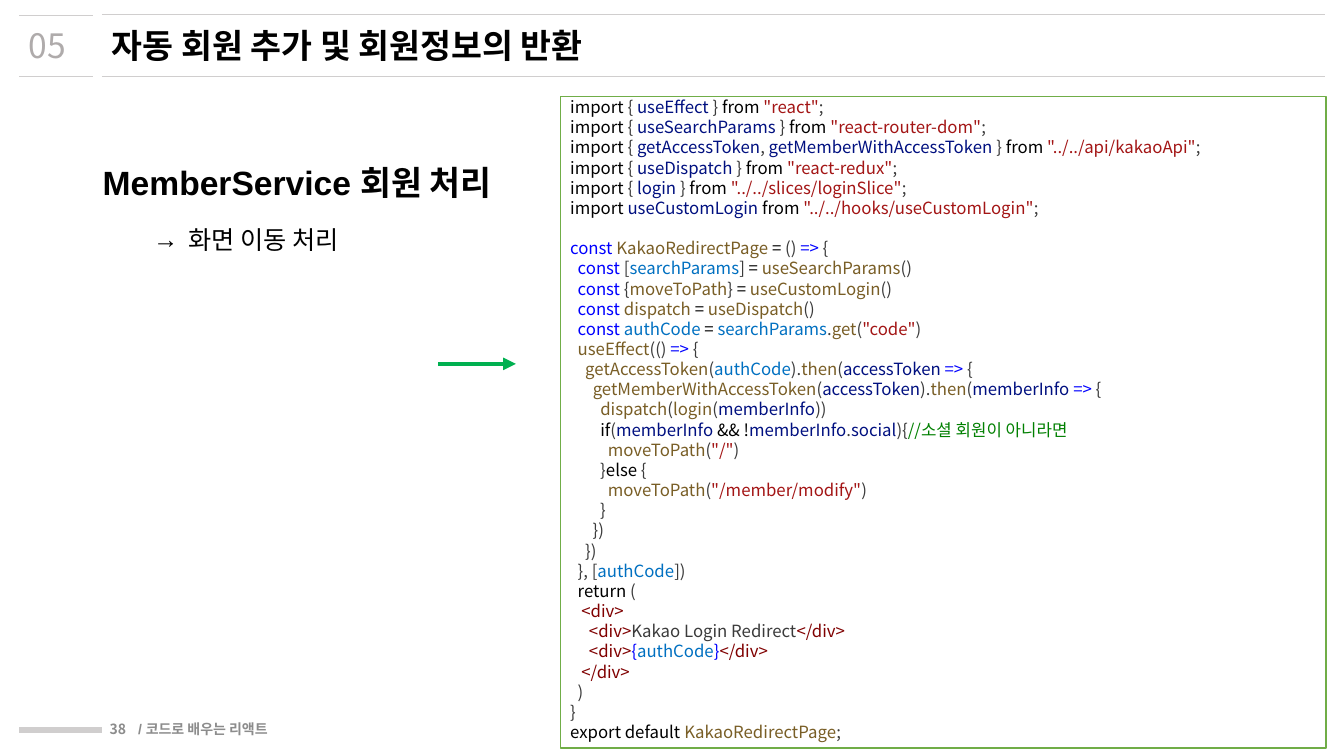
from dataclasses import dataclass

from lxml.etree import SubElement
from pptx import Presentation
from pptx.dml.color import RGBColor as Rgb
from pptx.enum.shapes import MSO_CONNECTOR as Connector, MSO_SHAPE as Shape
from pptx.enum.text import MSO_ANCHOR as Anchor, PP_ALIGN as Align
from pptx.oxml.ns import qn
from pptx.util import Cm, Pt


@dataclass(frozen=True)
class Theme:
    sans: str = "Noto Sans CJK KR"
    latin: str = "Arial"
    title_size: float = 24
    body_size: float = 18
    code_size: float = 12
    code_pitch: float = 14.4
    footer_size: float = 10
    black: str = "000000"
    white: str = "FFFFFF"
    rule: str = "D0CECE"
    number: str = "AFABAB"
    footer: str = "8C8C8C"
    frame: str = "70AD47"
    arrow: str = "00B050"
    plain: str = "3B3B3B"
    variable: str = "001080"
    constant: str = "0070C1"
    function: str = "795E26"
    keyword: str = "0000FF"
    string: str = "A31515"
    tag: str = "800000"
    comment: str = "008000"


theme = Theme()


def write(para, text, font=theme.sans, size=theme.title_size, color=theme.black, bold=False):
    span = para.add_run()
    span.text = text
    span.font.name = font
    span.font.size = Pt(size)
    span.font.bold = bold
    span.font.color.rgb = Rgb.from_string(color)
    SubElement(span.font._element, qn("a:ea"), typeface=theme.sans)


def add_box(left, top, width, height, anchor=Anchor.MIDDLE):
    frame = page.shapes.add_textbox(Cm(left), Cm(top), Cm(width), Cm(height)).text_frame
    frame.word_wrap = True
    frame.vertical_anchor = anchor
    return frame


deck = Presentation()
deck.slide_width, deck.slide_height = Cm(33.87), Cm(19.05)
page = deck.slides.add_slide(deck.slide_layouts[6])

# Header rules, footer bar and arrow
for left, right, y, color, weight in [
    (2.57, 33.38, 0.36, theme.rule, 0.25),
    (2.57, 33.38, 1.93, theme.rule, 0.25),
    (0.48, 2.34, 0.38, theme.rule, 0.25),
    (0.48, 2.34, 1.93, theme.rule, 0.25),
    (0.48, 2.57, 18.39, theme.rule, 4.25),
    (11.05, 13, 9.17, theme.arrow, 3),
]:
    line = page.shapes.add_connector(Connector.STRAIGHT, Cm(left), Cm(y), Cm(right), Cm(y))
    line.line.color.rgb = Rgb.from_string(color)
    line.line.width = Pt(weight)
    if color == theme.arrow:
        SubElement(line.line._get_or_add_ln(), qn("a:tailEnd"), type="triangle")
    SubElement(line._element.spPr, qn("a:effectLst"))

# Header
write(add_box(0.48, 0.38, 1.85, 1.52).paragraphs[0], "05", color=theme.number)
write(add_box(2.57, 0.38, 30.81, 1.52).paragraphs[0], "자동 회원 추가 및 회원정보의 반환", bold=True)

# Topic and its point
body = add_box(2.34, 3.45, 11.7, 14.4, Anchor.TOP)
topic = body.paragraphs[0]
topic.line_spacing = 1.5
write(topic, "MemberService 회원 처리", font=theme.latin, bold=True)

point = body.add_paragraph()
point.line_spacing = 1.5
point.space_before = Pt(5)
properties = point._p.get_or_add_pPr()
properties.set("marL", str(Cm(2.15)))
properties.set("indent", str(Cm(-0.88)))
SubElement(properties, qn("a:buFont"), typeface=theme.latin)
SubElement(properties, qn("a:buChar"), char="→")
write(point, "화면 이동 처리", font=theme.latin, size=theme.body_size)

# Footer
footer_style = dict(size=theme.footer_size, color=theme.footer, bold=True)
page_number = add_box(2.34, 17.86, 1.09, 1.02).paragraphs[0]
page_number.alignment = Align.RIGHT
write(page_number, "38", **footer_style)
footer = add_box(3.48, 17.86, 9.53, 1.02)
footer.margin_left = 0
write(footer.paragraphs[0], "/ 코드로 배우는 리액트", font=theme.latin, **footer_style)

# Code, with | between differently coloured pieces
imports = '''import| { |useEffect| } |from |"react"|;
import| { |useSearchParams| } |from |"react-router-dom"|;
import| { |getAccessToken|, |getMemberWithAccessToken| } |from |"../../api/kakaoApi"|;
import| { |useDispatch| } |from |"react-redux"|;
import| { |login| } |from |"../../slices/loginSlice"|;
import |useCustomLogin |from |"../../hooks/useCustomLogin"|;'''

hooks = '''const |KakaoRedirectPage |=| () |=>| {
  |const| [|searchParams|] |= |useSearchParams|()
  |const| {|moveToPath|} |= |useCustomLogin|()
  |const |dispatch |= |useDispatch|()
  |const |authCode |= |searchParams|.|get|(|"code"|)'''

effect = '''  |useEffect|(() |=>| {
    |getAccessToken|(|authCode|).|then|(|accessToken |=>| {
      |getMemberWithAccessToken|(|accessToken|).|then|(|memberInfo |=>| {
        |dispatch|(|login|(|memberInfo|))
        |if|(|memberInfo |&& !|memberInfo|.|social|){|//소셜 회원이 아니라면
          |moveToPath|(|"/"|)
        }|else| {
          |moveToPath|(|"/member/modify"|)
        }
      })
    })
  }, [|authCode|])'''

markup = '''  |return| (
   |<div>
     |<div>|Kakao Login Redirect|</div>
     |<div>|{|authCode|}|</div>
   |</div>
  )
}
export default |KakaoRedirectPage|;'''

colors = {}
for color, names in [
    (theme.black, "import,from,=,&& !,if,else,return,export default"),
    (theme.keyword, "const,=>"),
    (theme.variable, "accessToken,memberInfo,social"),
    (theme.constant, "searchParams,authCode"),
    (theme.function, "KakaoRedirectPage,useSearchParams,moveToPath,useCustomLogin,dispatch,useDispatch"),
    (theme.function, "get,useEffect,getAccessToken,then,getMemberWithAccessToken,login"),
]:
    colors.update(dict.fromkeys(names.split(","), color))
openings = {'"': theme.string, "<": theme.tag, "/": theme.comment}

panel = page.shapes.add_shape(Shape.RECTANGLE, Cm(14.12), Cm(2.44), Cm(19.3), Cm(16.41))
panel.shadow.inherit = False
panel.fill.solid()
panel.fill.fore_color.rgb = Rgb.from_string(theme.white)
panel.line.color.rgb = Rgb.from_string(theme.frame)
panel.line.width = Pt(1)
listing = panel.text_frame
listing.word_wrap = True
listing.vertical_anchor = Anchor.TOP
listing.margin_top = listing.margin_bottom = 0

for section in (imports, hooks, effect, markup):
    for index, row in enumerate(section.split("\n")):
        first = section is imports and index == 0
        para = listing.paragraphs[0] if first else listing.add_paragraph()
        para.alignment = Align.LEFT
        para.line_spacing = Pt(theme.code_pitch)
        if section is hooks and index == 0:
            para.space_before = Pt(theme.code_pitch)
        for piece in row.split("|"):
            word = piece.strip()
            color = openings.get(word[:1]) or colors.get(word, theme.plain)
            if section is imports and word.isalpha() and word not in ("import", "from"):
                color = theme.variable
            elif "<div>" in row and word in ("{", "}"):
                color = theme.keyword
            write(para, piece, size=theme.code_size, color=color)

deck.save("out.pptx")
